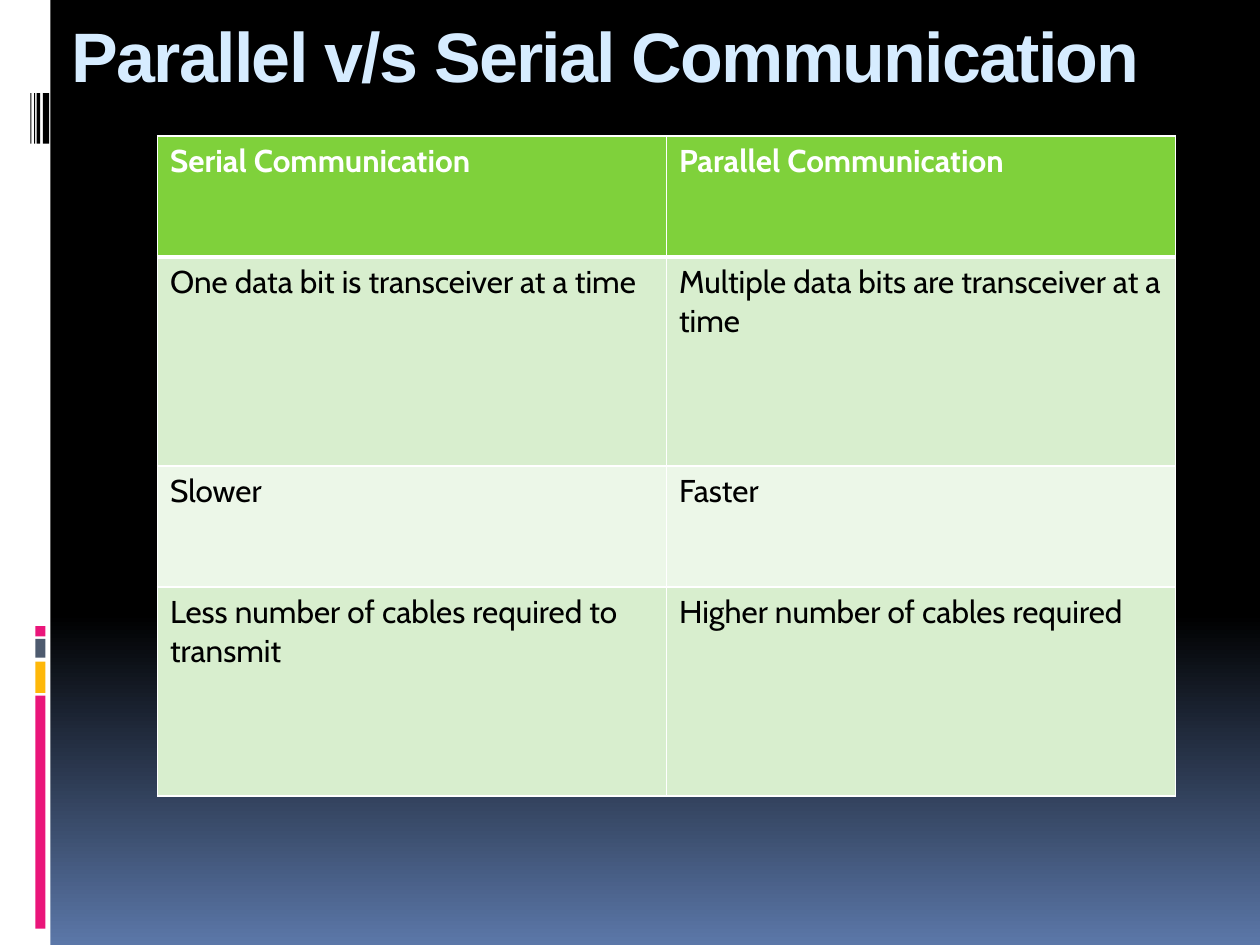
"""Build a slide that compares serial and parallel communication in a table."""
from lxml import etree
from pptx import Presentation
from pptx.dml.color import RGBColor
from pptx.enum import shapes, text
from pptx.oxml import ns
from pptx.util import Inches, Pt

theme = {
    "white": "FFFFFF", "black": "000000", "pink": "EA157A", "amber": "FEB80A",
    "slate": "4E5B6F", "dusk": "5B77A8", "title": "D6ECFF",
    "header": "7FD13B", "band": "D8EECE", "pale": "ECF7E8",
    "title_font": "Arial", "body_font": "Cabin", "title_size": 40, "body_size": 18,
}


def colour(name):
    return RGBColor.from_string(theme[name])


def write(frame, words, font, size, ink, bold):
    span = frame.paragraphs[0].add_run()
    span.text = words
    style = {"name": theme[font], "size": Pt(theme[size]), "bold": bold}
    for key, value in style.items():
        setattr(span.font, key, value)
    span.font.color.rgb = colour(ink)
    return span


deck = Presentation()
deck.slide_width, deck.slide_height = Inches(10), Inches(7.5)
page = deck.slides.add_slide(deck.slide_layouts[6])

backdrop = page.background.fill
backdrop.gradient()
backdrop.gradient_angle = 270
for stop, (position, shade) in zip(backdrop.gradient_stops, [(0.65, "black"), (1, "dusk")]):
    stop.position = position
    stop.color.rgb = colour(shade)

bar_left, bar_width = 0.28, 0.08
code_top, code_height = 0.74, 0.4
blocks = [(0, 0, 0.4, 7.5, "white")]
blocks += [(bar_left, top, bar_width, height, shade) for top, height, shade in [
    (5.52, 1.85, "pink"), (5.25, 0.25, "amber"), (5.07, 0.15, "slate"), (4.97, 0.08, "pink")]]
blocks += [(left, code_top, width, code_height, "black") for left, width in [
    (0.34, 0.05), (0.29, 0.03), (0.27, 0.01), (0.24, 0.01)]]
for *frame, shade in blocks:
    block = page.shapes.add_shape(shapes.MSO_SHAPE.RECTANGLE, *map(Inches, frame))
    block.shadow.inherit = False
    block.fill.solid()
    block.fill.fore_color.rgb = colour(shade)
    block.line.fill.background()

box = page.shapes.add_textbox(Inches(0.5), 0, Inches(8.92), Inches(1))
layout = {"word_wrap": True, "vertical_anchor": text.MSO_ANCHOR.TOP,
          "margin_left": Inches(0.07), "margin_top": Inches(0.1)}
for key, value in layout.items():
    setattr(box.text_frame, key, value)
title = write(box.text_frame, "Parallel v/s Serial Communication",
              "title_font", "title_size", "title", True)
title.font._element.set("spc", "-100")

rows = [
    ("Serial Communication", "Parallel Communication"),
    ("One data bit is transceiver at a time", "Multiple data bits are transceiver at a time"),
    ("Slower", "Faster"),
    ("Less number of cables required to transmit", "Higher number of cables required"),
]
row_heights = [0.96, 1.66] * 2
row_fills = ["header", "band", "pale", "band"]
table = page.shapes.add_table(
    len(rows), 2, Inches(1.25), Inches(1.08), Inches(8.08), Inches(sum(row_heights))).table
for r, (words, height, shade) in enumerate(zip(rows, row_heights, row_fills)):
    table.rows[r].height = Inches(height)
    for c, entry in enumerate(words):
        cell = table.cell(r, c)
        write(cell.text_frame, entry, "body_font", "body_size",
              "black" if r else "white", r == 0)
        properties = cell._tc.get_or_add_tcPr()
        for side in ["L", "R", "T", "B"]:
            heavy = (r, side) in [(0, "B"), (1, "T")]
            edge = etree.SubElement(properties, ns.qn(f"a:ln{side}"), w=str(Pt(3 if heavy else 1)))
            paint = etree.SubElement(edge, ns.qn("a:solidFill"))
            etree.SubElement(paint, ns.qn("a:srgbClr"), val=theme["white"])
        cell.fill.solid()
        cell.fill.fore_color.rgb = colour(shade)

deck.save("out.pptx")
